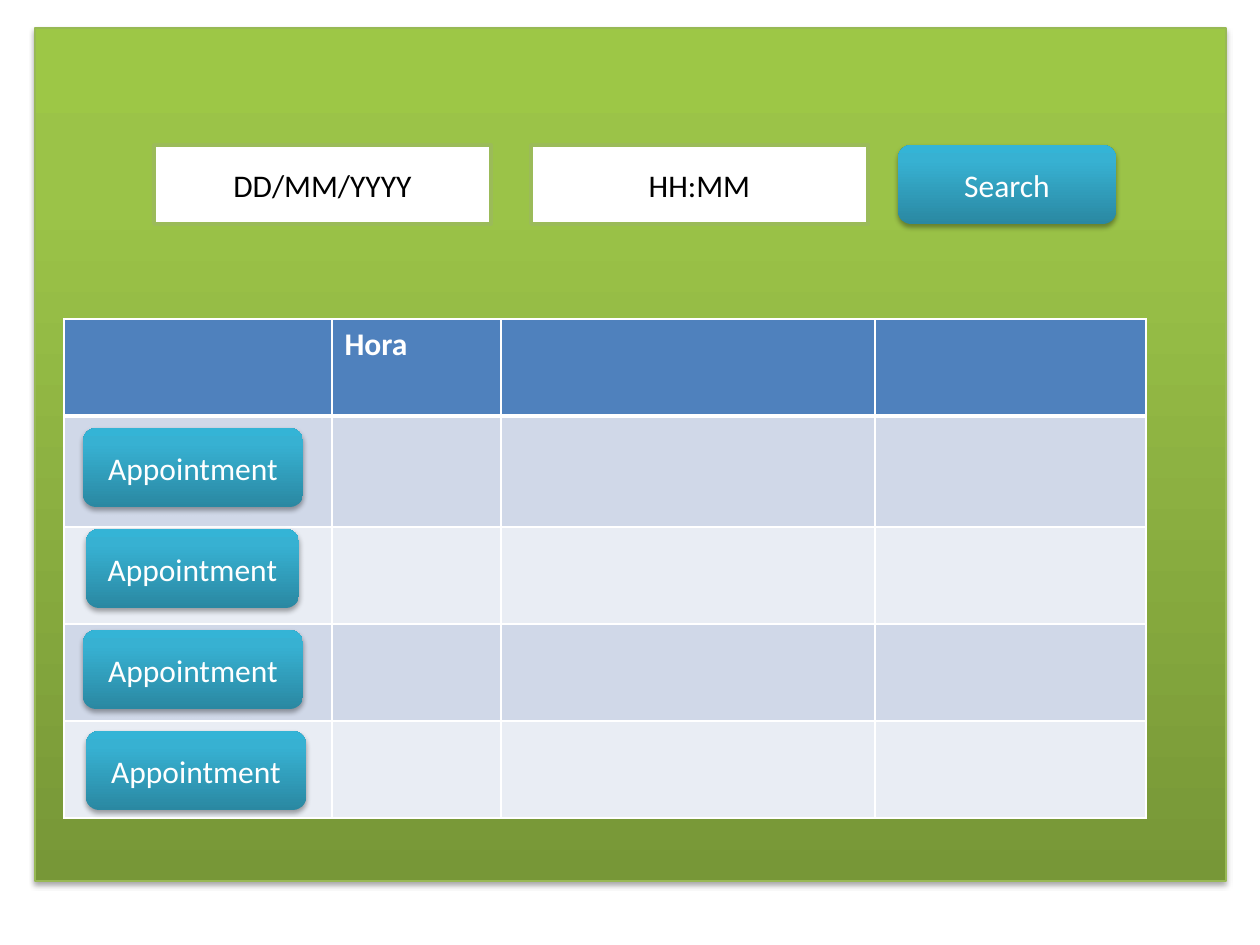
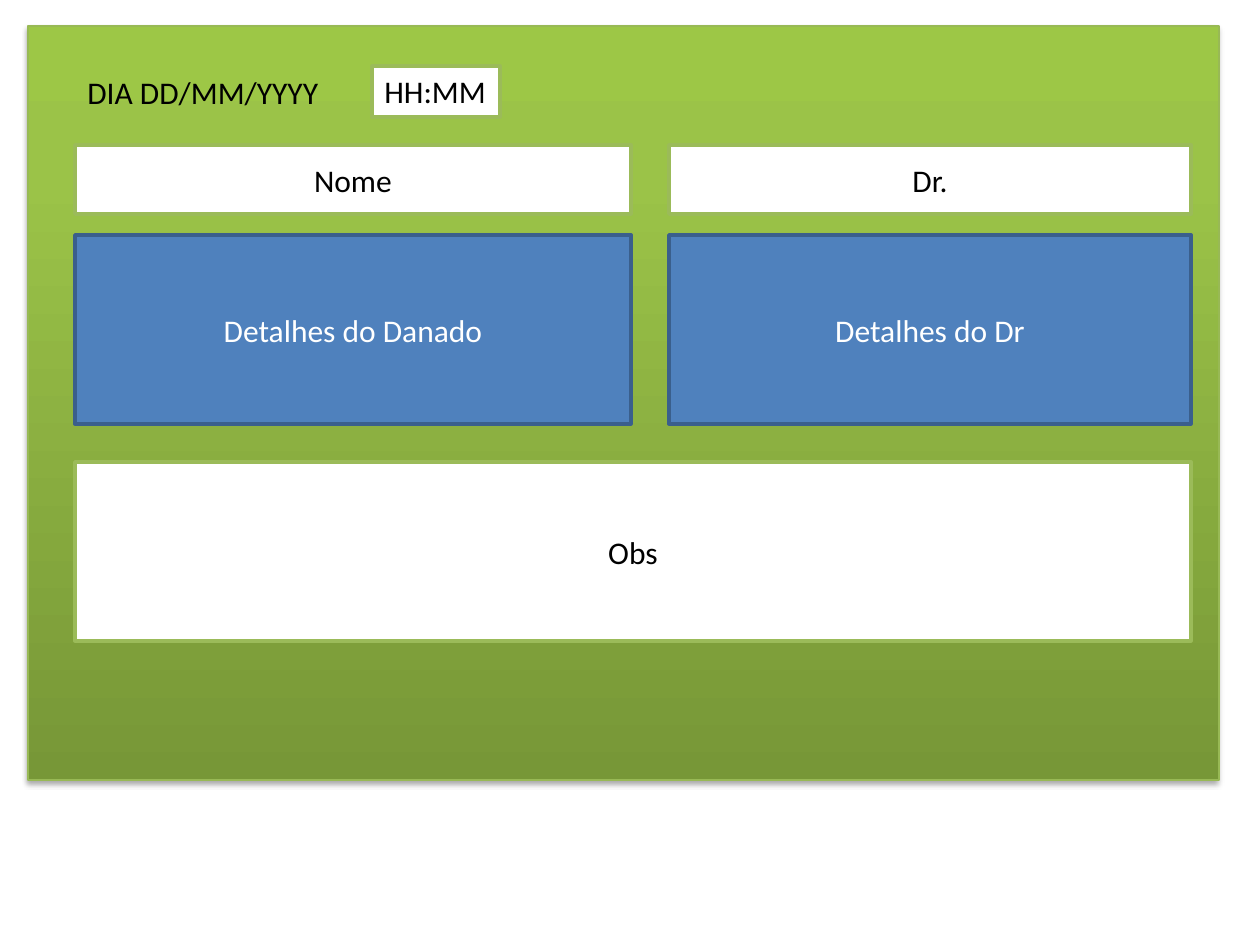
import pptx
import pptx.dml.color
import pptx.enum.shapes
import pptx.enum.text
import pptx.oxml
import pptx.oxml.ns
import pptx.util
from dataclasses import dataclass

SHAPE = pptx.enum.shapes.MSO_SHAPE
ALIGN = pptx.enum.text.PP_ALIGN
ANCHOR = pptx.enum.text.MSO_ANCHOR
AUTO = pptx.enum.text.MSO_AUTO_SIZE
NS = pptx.oxml.ns.nsdecls("a")
SCALE = 914400 / 126


@dataclass(frozen=True)
class Theme:
    """Colours, font and type size shared by the slides."""
    font: str = "Calibri"
    size: int = 18
    dark: str = "000000"
    light: str = "FFFFFF"
    blue: str = "4F81BD"
    blue_edge: str = "3A5F8C"
    green_edge: str = "9BBB59"
    panel_edge: str = "98B955"
    bands: tuple = ("D0D8E8", "E9EDF4")
    green: tuple = ((0, "779737"), (80, "9BC348"), (100, "9DC746"))
    teal: tuple = ((0, "2A88A2"), (80, "37B1D2"), (100, "34B4D6"))


def px(n):
    """Turn pixels into EMU."""
    return pptx.util.Emu(round(n * SCALE))


def rgb(code):
    """Turn a hex code into a colour."""
    return pptx.dml.color.RGBColor.from_string(code)


def assign(obj, values):
    """Set the attributes of obj from a dict."""
    for name, value in values.items():
        setattr(obj, name, value)


class Mockup:
    """Draws the elements of a screen mockup on the current slide."""

    def __init__(self, theme):
        """Open an empty 4:3 presentation."""
        self.t = theme
        self.prs = pptx.Presentation()
        assign(self.prs, {"slide_width": px(1260), "slide_height": px(945)})

    def new_slide(self):
        """Start a blank slide."""
        self.s = self.prs.slides.add_slide(self.prs.slide_layouts[6])

    def put_text(self, tf, text, color, align=None, bold=None):
        """Put one formatted line of text in a text frame."""
        p = tf.paragraphs[0]
        assign(p, {"alignment": align})
        r = p.add_run()
        r.text = text
        assign(r.font, {"name": self.t.font, "size": pptx.util.Pt(self.t.size),
                        "bold": bold})
        r.font.color.rgb = rgb(color)

    def shape(self, kind, box, edge=None, weight=2):
        """Add a preset shape with an optional outline and no shadow."""
        sp = self.s.shapes.add_shape(kind, *map(px, box))
        sp.shadow.inherit = False
        if edge:
            sp.line.color.rgb = rgb(edge)
            sp.line.width = pptx.util.Pt(weight)
        else:
            sp.line.fill.background()
        return sp

    def gloss(self, sp, stops):
        """Give a shape an upward gradient and a soft shadow below it."""
        sp.fill.background()
        spPr = sp._element.spPr
        gs = "".join(f'<a:gs pos="{pos * 1000}"><a:srgbClr val="{c}"/></a:gs>'
                     for pos, c in stops)
        spPr.replace(spPr.find(pptx.oxml.ns.qn("a:noFill")), pptx.oxml.parse_xml(
            f'<a:gradFill {NS} rotWithShape="1"><a:gsLst>{gs}</a:gsLst>'
            '<a:lin ang="16200000" scaled="0"/></a:gradFill>'))
        spPr.find(pptx.oxml.ns.qn("a:effectLst")).append(pptx.oxml.parse_xml(
            f'<a:outerShdw {NS} blurRad="39370" dist="22860" dir="5400000" '
            f'rotWithShape="0"><a:srgbClr val="{self.t.dark}">'
            '<a:alpha val="35000"/></a:srgbClr></a:outerShdw>'))

    def panel(self, *box):
        """Add the green window behind the controls."""
        sp = self.shape(SHAPE.RECTANGLE, box, self.t.panel_edge, 0.75)
        self.gloss(sp, self.t.green)

    def button(self, text, *box):
        """Add a rounded teal button."""
        sp = self.shape(SHAPE.ROUNDED_RECTANGLE, box)
        self.gloss(sp, self.t.teal)
        sp.text_frame.vertical_anchor = ANCHOR.MIDDLE
        self.put_text(sp.text_frame, text, self.t.light, ALIGN.CENTER)

    def box(self, text, rect, fill, edge, color):
        """Add a flat rectangle with centred text."""
        sp = self.shape(SHAPE.RECTANGLE, rect, edge)
        sp.fill.solid()
        sp.fill.fore_color.rgb = rgb(fill)
        sp.text_frame.vertical_anchor = ANCHOR.MIDDLE
        self.put_text(sp.text_frame, text, color, ALIGN.CENTER)
        return sp

    def field(self, text, *rect):
        """Add a white input field."""
        return self.box(text, rect, self.t.light, self.t.green_edge, self.t.dark)

    def details(self, text, *rect):
        """Add a blue details area."""
        self.box(text, rect, self.t.blue, self.t.blue_edge, self.t.light)

    def fit(self, sp):
        """Left-align the text of a shape that grows with one line."""
        assign(sp.text_frame, {"word_wrap": False, "vertical_anchor": ANCHOR.TOP,
                               "auto_size": AUTO.SHAPE_TO_FIT_TEXT})
        sp.text_frame.paragraphs[0].alignment = ALIGN.LEFT

    def label(self, text, *box):
        """Add a plain line of text."""
        sp = self.s.shapes.add_textbox(*map(px, box))
        self.put_text(sp.text_frame, text, self.t.dark)
        self.fit(sp)

    def borders(self, cell, row):
        """Draw white cell edges, heavier below the header row."""
        tcPr = cell._tc.get_or_add_tcPr()
        weights = {"L": 1, "R": 1, "T": 3 if row == 1 else 1,
                   "B": 3 if row == 0 else 1}
        for side, weight in weights.items():
            tcPr.append(pptx.oxml.parse_xml(
                f'<a:ln{side} {NS} w="{weight * 12700}"><a:solidFill>'
                f'<a:srgbClr val="{self.t.light}"/></a:solidFill></a:ln{side}>'))

    def table(self, left, top, widths, heights, headers):
        """Add a banded table with a blue header and empty rows."""
        tbl = self.s.shapes.add_table(len(heights), len(widths), px(left), px(top),
                                      px(sum(widths)), px(sum(heights))).table
        for col, width in zip(tbl.columns, widths):
            col.width = px(width)
        for i, height in enumerate(heights):
            tbl.rows[i].height = px(height)
            for cell in tbl.rows[i].cells:
                self.borders(cell, i)
                cell.fill.solid()
                cell.fill.fore_color.rgb = rgb(
                    self.t.bands[(i - 1) % 2] if i else self.t.blue)
        for j, text in headers.items():
            self.put_text(tbl.cell(0, j).text_frame, text, self.t.light, bold=True)


def search_slide(m):
    """Search bar above the list of appointment times."""
    m.new_slide()
    m.panel(35, 28, 1191, 853)
    m.field("DD/MM/YYYY", 154, 145, 337, 79)
    m.field("HH:MM", 531, 145, 337, 79)
    m.button("Search", 898, 145, 218, 79)
    m.table(64, 319, (268, 169, 374, 271), (97, 111, 97, 97, 97), {1: "Hora"})
    for i, (left, width) in enumerate(((83, 220), (86, 213), (83, 220), (86, 220))):
        m.button("Appointment", left, 428 + 101 * i, width, 79)


def details_slide(m):
    """Appointment form with the details of both people and notes."""
    m.new_slide()
    m.panel(28, 26, 1191, 754)
    m.label("DIA DD/MM/YYYY", 75, 67, 258, 51)
    m.fit(m.field("HH:MM", 372, 66, 128, 51))
    columns = ((75, 556, "Nome", "Detalhes do Danado"),
               (669, 522, "Dr.", "Detalhes do Dr"))
    for left, width, name, details in columns:
        m.field(name, left, 145, width, 69)
        m.details(details, left, 235, width, 189)
    m.field("Obs", 75, 462, 1116, 179)


def main():
    """Build both slides and save them."""
    m = Mockup(Theme())
    search_slide(m)
    details_slide(m)
    m.prs.save("out.pptx")


main()
